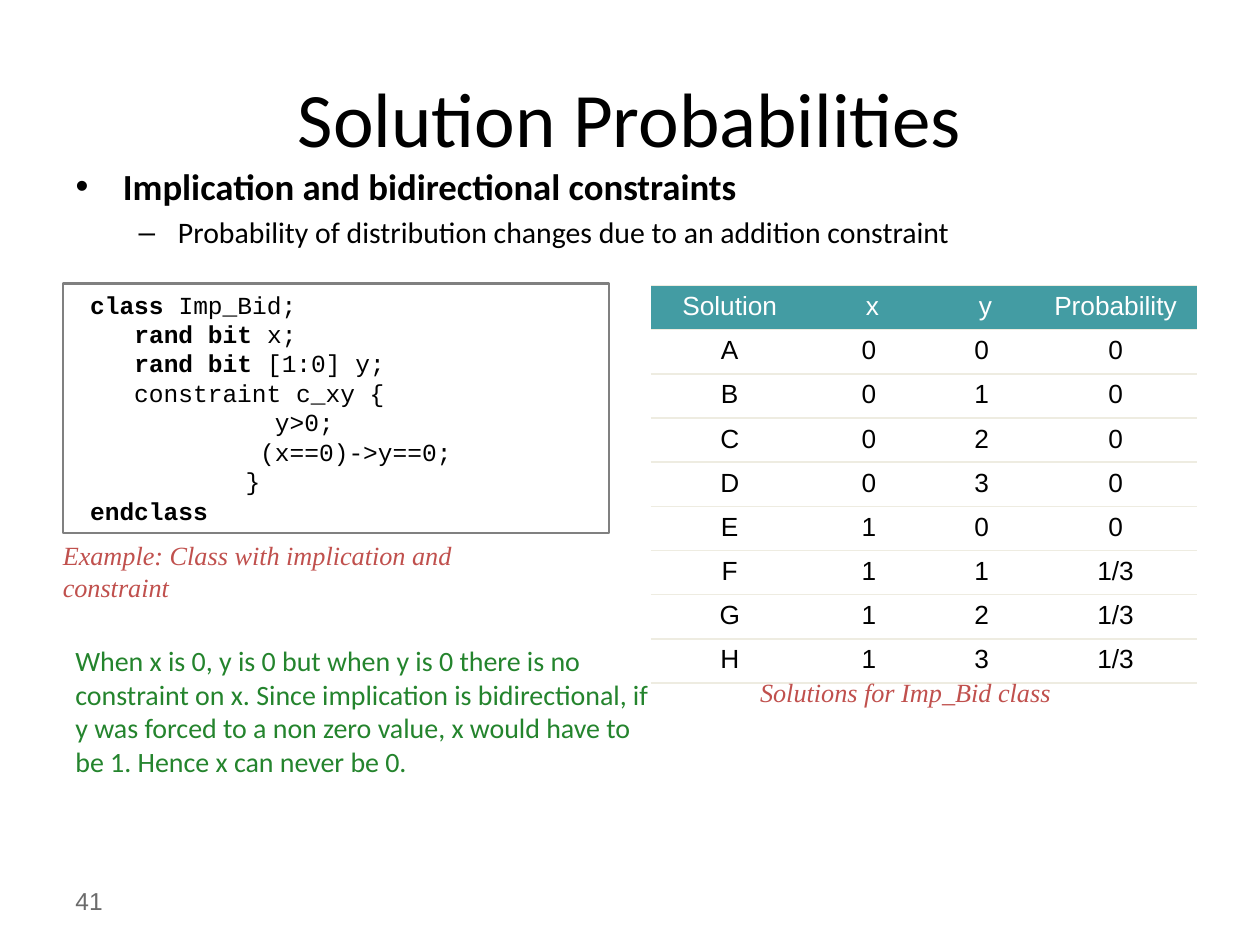
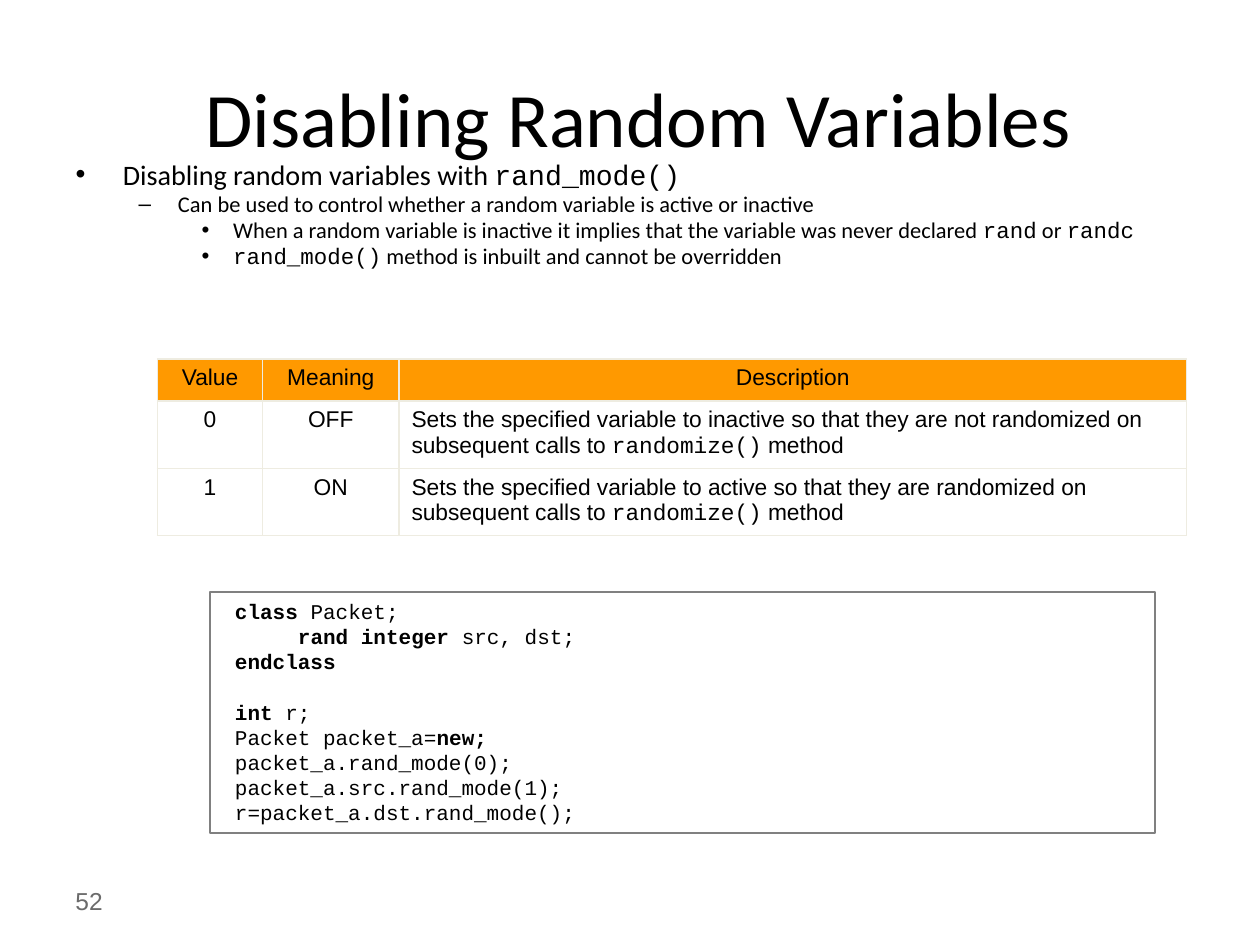
from dataclasses import dataclass, field, replace

import lxml.etree
import pptx
import pptx.dml.color
import pptx.enum.shapes
import pptx.enum.text
import pptx.oxml.ns
import pptx.util

LEFT = pptx.enum.text.PP_ALIGN.LEFT
CENTER = pptx.enum.text.PP_ALIGN.CENTER
TOP = pptx.enum.text.MSO_ANCHOR.TOP
MIDDLE = pptx.enum.text.MSO_ANCHOR.MIDDLE

# Grid: 120 columns by 90 rows of equal squares
COLUMNS, ROWS = 120, 90
SLIDE_WIDTH = pptx.util.Inches(10)
SLIDE_HEIGHT = pptx.util.Inches(7.5)
MARGIN = 6


@dataclass(frozen=True)
class Style:
    font: str
    size: float
    color: str = "000000"
    bold: bool = False
    italic: bool = False


@dataclass(frozen=True)
class Theme:
    title: Style = Style("Calibri", 44)
    body: Style = Style("Calibri", 17)
    code: Style = Style("Courier New", 14)
    table: Style = Style("Arial", 15)
    caption: Style = Style("Times New Roman", 15, "C0504D", italic=True)
    remark: Style = Style("Calibri", 16, "24842D")
    number: Style = Style("Arial", 14, "6B6B6B")
    mono: str = "Courier New"
    frame: str = "808080"
    rule: str = "EEECE1"
    teal: str = "439CA3"
    orange: str = "FF9900"
    white: str = "FFFFFF"


THEME = Theme()


@dataclass(frozen=True)
class Box:
    """A place on the grid, in columns and rows."""
    left: float
    top: float
    width: float
    height: float

    def lengths(self) -> tuple[int, int, int, int]:
        return (column(self.left), row(self.top), column(self.width), row(self.height))


@dataclass(frozen=True)
class Bullet:
    text: str
    level: int
    style: Style


@dataclass(frozen=True)
class Grid:
    """A table; the header's and the body's look are given separately."""
    box: Box
    widths: list[float]
    heights: list[float]
    cells: list[list[str]]
    header_fill: str
    header: Style
    body: Style
    ruled_sides: str
    left_columns: set[int] = field(default_factory=set)


def column(count: float) -> int:
    return round(SLIDE_WIDTH * count / COLUMNS)


def row(count: float) -> int:
    return round(SLIDE_HEIGHT * count / ROWS)


def rgb(color: str) -> pptx.dml.color.RGBColor:
    return pptx.dml.color.RGBColor.from_string(color)


# Text: parts between backticks take the emphasis style
def write(paragraph, text: str, style: Style, emphasis: Style | None = None,
          alignment=LEFT) -> None:
    paragraph.alignment = alignment
    for index, part in enumerate(text.split("`")):
        if not part:
            continue
        run = paragraph.add_run()
        run.text = part
        look = emphasis if emphasis and index % 2 else style
        run.font.name = look.font
        run.font.size = pptx.util.Pt(look.size)
        run.font.bold = look.bold
        run.font.italic = look.italic
        run.font.color.rgb = rgb(look.color)


def mono(style: Style) -> Style:
    return replace(style, font=THEME.mono)


def place(shape, box: Box) -> None:
    shape.left, shape.top, shape.width, shape.height = box.lengths()


def add_text(slide, box: Box, text: str, style: Style, anchor=TOP) -> None:
    frame = slide.shapes.add_textbox(*box.lengths()).text_frame
    frame.word_wrap = True
    frame.vertical_anchor = anchor
    write(frame.paragraphs[0], text, style)


# Frame shared by the slides: title, bullets, slide number
def add_slide(presentation, title: str, number: str, bullets: list[Bullet],
              body_height: float, line_spacing: float):
    slide = presentation.slides.add_slide(presentation.slide_layouts[1])
    heading, body = slide.shapes.title, slide.placeholders[1]
    place(heading, Box(MARGIN, 3.6, 108, 15))
    place(body, Box(MARGIN, 15, 108, body_height))
    for shape, anchor in ((heading, MIDDLE), (body, TOP)):
        shape.text_frame.auto_size = pptx.enum.text.MSO_AUTO_SIZE.NONE
        shape.text_frame.vertical_anchor = anchor
    write(heading.text_frame.paragraphs[0], title, THEME.title, alignment=CENTER)

    frame = body.text_frame
    for index, bullet in enumerate(bullets):
        paragraph = frame.add_paragraph() if index else frame.paragraphs[0]
        paragraph.level = bullet.level
        paragraph.line_spacing = line_spacing
        if index == 0:
            paragraph.space_before = pptx.util.Pt(0)
        write(paragraph, bullet.text, bullet.style, mono(bullet.style))

    add_text(slide, Box(MARGIN, 83.4, 28, 4.8), number, THEME.number, MIDDLE)
    return slide


# Code listing: an empty line becomes space before the next one
def add_code(slide, box: Box, code: str, style: Style) -> None:
    shape = slide.shapes.add_shape(
        pptx.enum.shapes.MSO_SHAPE.RECTANGLE, *box.lengths())
    shape.shadow.inherit = False
    shape.fill.background()
    shape.line.color.rgb = rgb(THEME.frame)
    shape.line.width = pptx.util.Pt(1.25)
    frame = shape.text_frame
    frame.word_wrap = True
    frame.vertical_anchor = TOP
    paragraph, gap = frame.paragraphs[0], 0
    for index, line in enumerate(code.split("\n")):
        if not line:
            gap = 1.2 * style.size
            continue
        if index:
            paragraph = frame.add_paragraph()
        paragraph.space_before = pptx.util.Pt(gap)
        write(paragraph, line, style, replace(style, bold=True))
        gap = 0


# Tables
def set_borders(cell, ruled_sides: str) -> None:
    properties = cell._tc.get_or_add_tcPr()
    qn = pptx.oxml.ns.qn
    for index, side in enumerate("LRTB"):
        line = lxml.etree.Element(qn(f"a:ln{side}"), w=str(pptx.util.Pt(1)))
        if side in ruled_sides:
            fill = lxml.etree.SubElement(line, qn("a:solidFill"))
            lxml.etree.SubElement(fill, qn("a:srgbClr"), val=THEME.rule)
        else:
            lxml.etree.SubElement(line, qn("a:noFill"))
        properties.insert(index, line)


def add_grid(slide, grid: Grid) -> None:
    table = slide.shapes.add_table(
        len(grid.heights), len(grid.widths), *grid.box.lengths()).table
    table.first_row = table.horz_banding = False
    for table_column, width in zip(table.columns, grid.widths):
        table_column.width = column(width)
    for table_row, height in zip(table.rows, grid.heights):
        table_row.height = row(height)
    for row_index, texts in enumerate(grid.cells):
        for column_index, text in enumerate(texts):
            cell = table.cell(row_index, column_index)
            style = grid.body if row_index else grid.header
            if row_index:
                cell.fill.background()
            else:
                cell.fill.solid()
                cell.fill.fore_color.rgb = rgb(grid.header_fill)
            set_borders(cell, grid.ruled_sides)
            to_left = row_index and column_index in grid.left_columns
            write(cell.text_frame.paragraphs[0], text, style, mono(style),
                  LEFT if to_left else CENTER)


IMPLICATION_CODE = """ `class `Imp_Bid;
    `rand bit` x;
    `rand bit` [1:0] y;
    constraint c_xy {
\t\t     y>0;
\t\t    (x==0)->y==0;
\t\t   }
 `endclass`"""

PACKET_CODE = """ `class `Packet;
      `rand integer `src, dst;
 `endclass`

` int `r;
 Packet packet_a=`new;`
 packet_a.rand_mode(0);
 packet_a.src.rand_mode(1);
 r=packet_a.dst.rand_mode();"""


def add_probabilities_slide(presentation) -> None:
    slide = add_slide(presentation, "Solution Probabilities", "41", [
        Bullet("Implication and bidirectional constraints", 0,
               replace(THEME.body, size=21, bold=True)),
        Bullet("Probability of distribution changes due to an addition constraint",
               1, THEME.body),
    ], body_height=59.4, line_spacing=1)
    add_code(slide, Box(MARGIN, 27, 52, 23.8), IMPLICATION_CODE, THEME.code)

    # Every pair of x and y; only x = 1 with y > 0 can be a solution
    pairs = [(x, y) for x in range(2) for y in range(4)]
    solutions = [[letter, str(x), str(y), "1/3" if x and y else "0"]
                 for letter, (x, y) in zip("ABCDEFGH", pairs)]
    add_grid(slide, Grid(
        Box(62, 27.2, 52, 37.8), [15, 11.5, 10, 15.5], [4.2] * 9,
        [["Solution", " x", " y", "Probability"], *solutions],
        THEME.teal, replace(THEME.table, color=THEME.white), THEME.table, "TB"))

    add_text(slide, Box(MARGIN, 60.7, 57, 14),
             "When x is 0, y is 0 but when y is 0 there is no constraint on x. "
             "Since implication is bidirectional, if y was forced to a non zero "
             "value, x would have to be 1. Hence x can never be 0.", THEME.remark)
    add_text(slide, Box(4.8, 50.8, 49, 7),
             "Example: Class with implication and constraint", THEME.caption)
    add_text(slide, Box(71.2, 63.8, 32, 4.2),
             "Solutions for Imp_Bid class", THEME.caption)


def add_disabling_slide(presentation) -> None:
    detail = replace(THEME.body, size=12.8)
    slide = add_slide(presentation, " Disabling Random Variables", "52", [
        Bullet("Disabling random variables with `rand_mode()`", 0,
               replace(THEME.body, size=16.1)),
        Bullet("Can be used to control whether a random variable is active or inactive",
               1, detail),
        Bullet("When a random variable is inactive it implies that the variable "
               "was never declared `rand` or `randc`", 2, detail),
        Bullet("`rand_mode()` method is inbuilt and cannot be overridden", 2, detail),
    ], body_height=15, line_spacing=0.8)
    add_code(slide, Box(20, 56.4, 90, 22.9), PACKET_CODE, replace(THEME.code, size=12))

    effect = ("Sets the specified variable to {} so that they are {} on "
              "subsequent calls to `randomize()` method")
    style = replace(THEME.table, size=13)
    add_grid(slide, Grid(
        Box(15, 34.2, 98, 16.8), [10, 13, 75], [4, 6.4, 6.4],
        [["Value", "Meaning", "Description"],
         ["0", "OFF", effect.format("inactive", "not randomized")],
         ["1", "ON", effect.format("active", "randomized")]],
        THEME.orange, style, style, "LRTB", left_columns={2}))


def main() -> None:
    presentation = pptx.Presentation()
    presentation.slide_width = SLIDE_WIDTH
    presentation.slide_height = SLIDE_HEIGHT
    add_probabilities_slide(presentation)
    add_disabling_slide(presentation)
    presentation.save("out.pptx")


if __name__ == "__main__":
    main()
